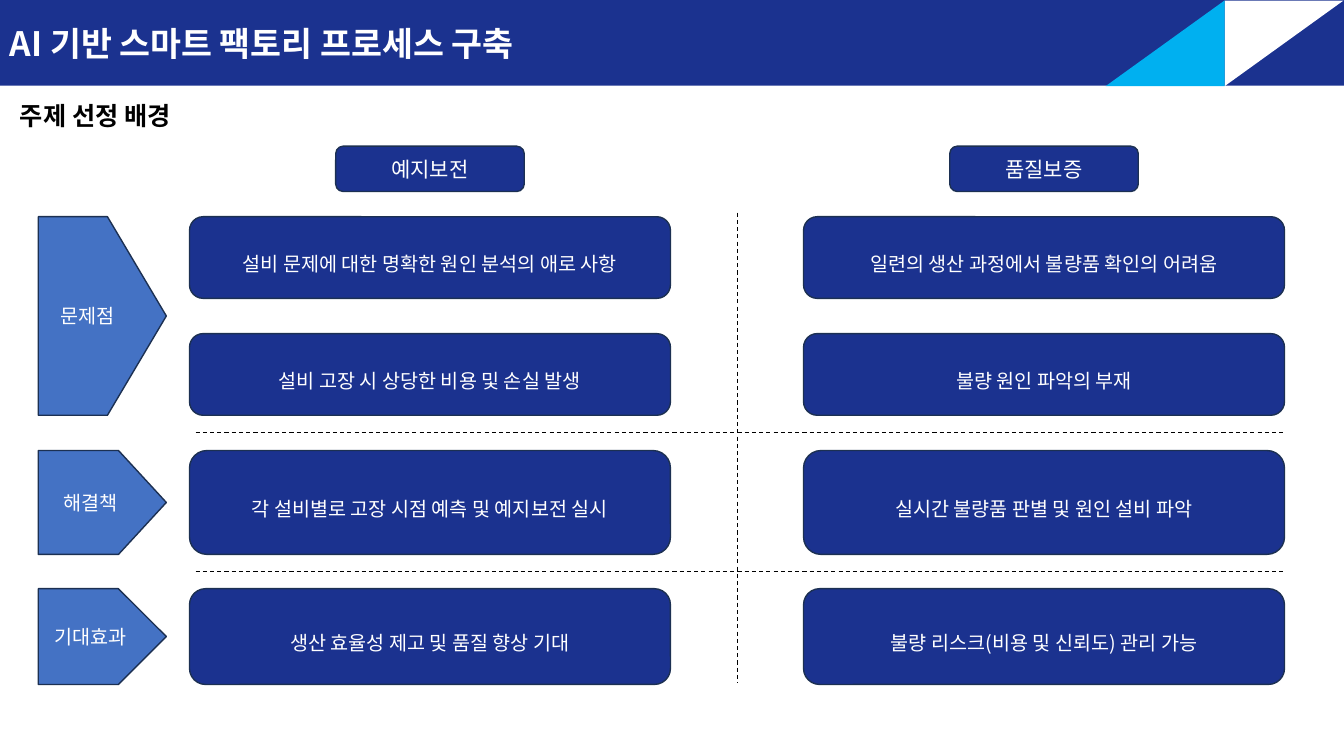
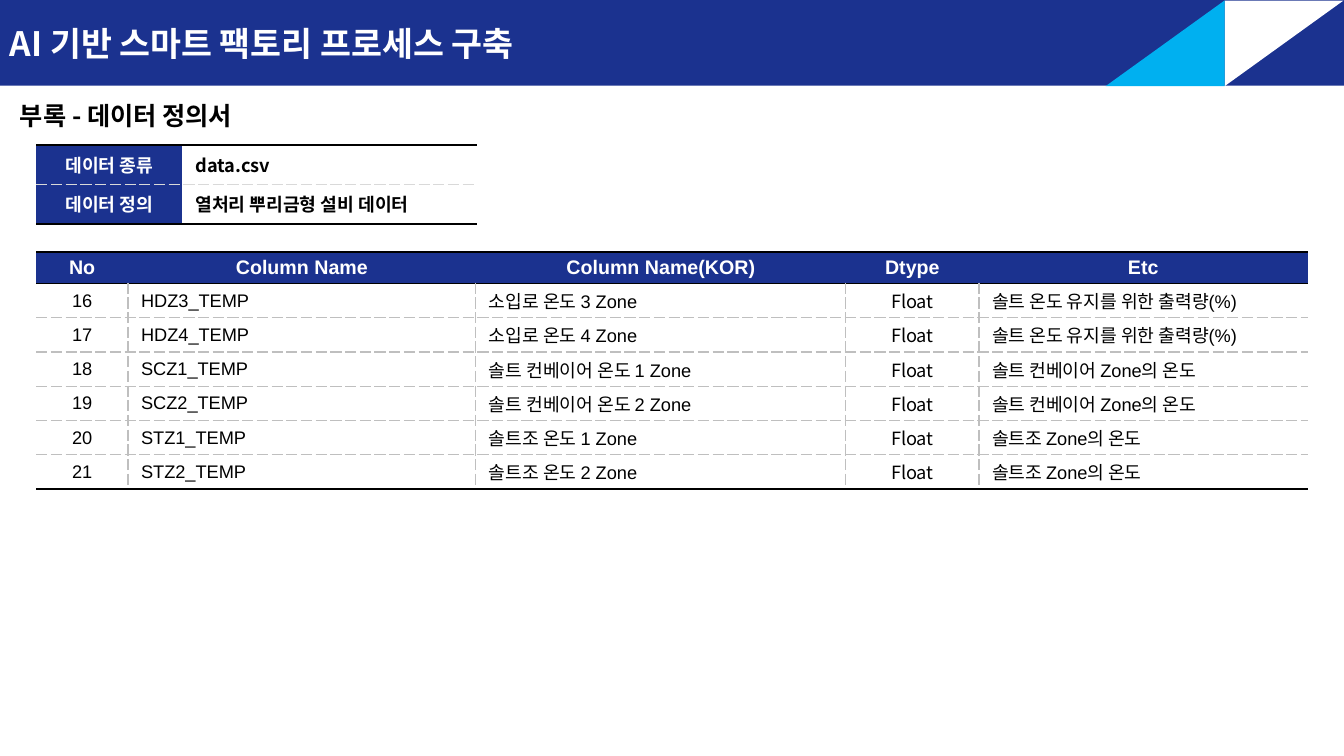
from lxml import etree
from pptx import Presentation
from pptx import util as u
from pptx.dml.color import RGBColor
from pptx.enum import dml, shapes, text
from pptx.oxml.ns import qn

NAVY = RGBColor(0x1B, 0x32, 0x8F)
OUTLINE = RGBColor(0x1C, 0x30, 0x52)
BLUE = RGBColor(0x44, 0x72, 0xC4)
CYAN = RGBColor(0x00, 0xB0, 0xF0)
WHITE = RGBColor(0xFF, 0xFF, 0xFF)
BLACK = RGBColor(0x00, 0x00, 0x00)
GREY = RGBColor(0xBF, 0xBF, 0xBF)
LIGHT_GREY = RGBColor(0xD9, 0xD9, 0xD9)
KOREAN, LATIN = "Noto Sans CJK KR", "Arial"
LEFT, CENTER = text.PP_ALIGN.LEFT, text.PP_ALIGN.CENTER
MIDDLE = text.MSO_ANCHOR.MIDDLE
KIND = shapes.MSO_SHAPE


def write(tf, words, size, color, bold=False, align=LEFT, font=KOREAN):
    """Fill a text frame with one formatted paragraph and return it."""
    tf.text = words
    tf.word_wrap = True
    p = tf.paragraphs[0]
    p.alignment = align
    r = p.runs[0]
    r.font.name, r.font.size, r.font.bold = font, u.Pt(size), bold
    r.font.color.rgb = color
    etree.SubElement(r.font._element, qn("a:ea")).set("typeface", KOREAN)
    return p


def add_shape(s, kind, x, y, w, h, fill, line=None):
    sp = s.shapes.add_shape(kind, u.Inches(x), u.Inches(y), u.Inches(w), u.Inches(h))
    sp.shadow.inherit = False
    sp.fill.solid()
    sp.fill.fore_color.rgb = fill
    if line is None:
        sp.line.fill.background()
    else:
        sp.line.color.rgb = line
        sp.line.width = u.Pt(1)
    return sp


prs = Presentation()
prs.slide_width, prs.slide_height = u.Inches(13.33), u.Inches(7.5)

# Title band, corner triangles and subtitle of every slide
BAND_H = 0.85
slides = []
for subtitle in ["주제 선정 배경", "부록 - 데이터 정의서"]:
    s = prs.slides.add_slide(prs.slide_layouts[6])
    slides.append(s)
    band = add_shape(s, KIND.RECTANGLE, 0, 0, 13.33, BAND_H, NAVY)
    write(band.text_frame, "AI 기반 스마트 팩토리 프로세스 구축", 24, WHITE, True)
    for x, rotation, color in [(12.31, 90, WHITE), (11.13, 270, CYAN)]:
        sp = add_shape(s, KIND.RIGHT_TRIANGLE, x, -0.16, BAND_H, 1.18, color)
        sp.rotation = rotation
    tb = s.shapes.add_textbox(u.Inches(0.1), u.Inches(0.95), u.Inches(3.37), u.Inches(0.4))
    write(tb.text_frame, subtitle, 18, BLACK, True)

# Slide 1: two topics across, three stages down
s = slides[0]
COL_X, COL_W, HEAD_W = (1.88, 7.97), 4.77, 1.87
topics = ["예지보전", "품질보증"]
box_rows = [
    (2.15, 0.81, ["설비 문제에 대한 명확한 원인 분석의 애로 사항",
                  "일련의 생산 과정에서 불량품 확인의 어려움"]),
    (3.31, 0.81, ["설비 고장 시 상당한 비용 및 손실 발생", "불량 원인 파악의 부재"]),
    (4.47, 1.03, ["각 설비별로 고장 시점 예측 및 예지보전 실시",
                  "실시간 불량품 판별 및 원인 설비 파악"]),
    (5.84, 0.95, ["생산 효율성 제고 및 품질 향상 기대",
                  "불량 리스크(비용 및 신뢰도) 관리 가능"]),
]
stages = [("문제점", 2.15, 1.97, 0.46), ("해결책", 4.47, 1.03, 0.46),
          ("기대효과", 5.84, 0.95, 0.5)]

for col, x in enumerate(COL_X):
    sp = add_shape(s, KIND.ROUNDED_RECTANGLE, x + (COL_W - HEAD_W) / 2, 1.45,
                   HEAD_W, 0.45, NAVY, OUTLINE)
    write(sp.text_frame, topics[col], 15, WHITE, align=CENTER)
    for y, h, messages in box_rows:
        sp = add_shape(s, KIND.ROUNDED_RECTANGLE, x, y, COL_W, h, NAVY, OUTLINE)
        p = write(sp.text_frame, messages[col], 14, WHITE, align=CENTER)
        p.line_spacing = 1.5

for name, y, h, point in stages:
    sp = add_shape(s, KIND.PENTAGON, 0.38, y, 1.27, h, BLUE, OUTLINE)
    sp.adjustments[0] = point
    write(sp.text_frame, name, 14, WHITE, align=CENTER)

for ends in [(7.31, 2.11, 7.31, 6.78), (1.94, 4.29, 12.74, 4.29), (1.94, 5.67, 12.74, 5.67)]:
    ln = s.shapes.add_connector(shapes.MSO_CONNECTOR.STRAIGHT, *[u.Inches(v) for v in ends])
    ln.line.color.rgb = BLACK
    ln.line.width = u.Pt(0.75)
    ln.line.dash_style = dml.MSO_LINE.DASH
    etree.SubElement(ln._element.spPr, qn("a:effectLst"))

# Slide 2: data summary (headed by its first column) and column list (headed by its first row)
s = slides[1]
summary = [("데이터 종류", "data.csv"), ("데이터 정의", "열처리 뿌리금형 설비 데이터")]
SALT_OUTPUT = "솔트 온도 유지를 위한 출력량(%)"
fields = [
    ("HDZ3_TEMP", "소입로 온도 3 Zone", SALT_OUTPUT),
    ("HDZ4_TEMP", "소입로 온도 4 Zone", SALT_OUTPUT),
    ("SCZ1_TEMP", "솔트 컨베이어 온도 1 Zone", "솔트 컨베이어 Zone의 온도"),
    ("SCZ2_TEMP", "솔트 컨베이어 온도 2 Zone", "솔트 컨베이어 Zone의 온도"),
    ("STZ1_TEMP", "솔트조 온도 1 Zone", "솔트조 Zone의 온도"),
    ("STZ2_TEMP", "솔트조 온도 2 Zone", "솔트조 Zone의 온도"),
]
columns = [("No", "Column Name", "Column Name(KOR)", "Dtype", "Etc")]
columns += [(str(no), name, korean, "Float", etc)
            for no, (name, korean, etc) in enumerate(fields, 16)]

for data, y, widths, heights, top_headed, grid in [
    (summary, 1.44, [1.45, 2.92], [0.39] * 2, False, LIGHT_GREY),
    (columns, 2.5, [0.91, 3.45, 3.67, 1.32, 3.26], [0.3] + [0.34] * 6, True, GREY),
]:
    last_row, last_col = len(heights) - 1, len(widths) - 1
    tbl = s.shapes.add_table(len(heights), len(widths), u.Inches(0.36), u.Inches(y),
                             u.Inches(sum(widths)), u.Inches(sum(heights))).table
    tbl.first_row = tbl.horz_banding = False
    for col, w in enumerate(widths):
        tbl.columns[col].width = u.Inches(w)
    for row, h in enumerate(heights):
        tbl.rows[row].height = u.Inches(h)
        for col, words in enumerate(data[row]):
            cell = tbl.cell(row, col)
            head = row == 0 if top_headed else col == 0
            centered = head or (top_headed and col in (0, 3))
            font = LATIN if top_headed and (head or col != 3) else KOREAN
            write(cell.text_frame, words, 14 if head and top_headed else 13,
                  WHITE if head else BLACK, head or not top_headed,
                  CENTER if centered else LEFT, font)
            cell.vertical_anchor = MIDDLE
            cell.margin_left = cell.margin_right = u.Inches(0.13)
            cell.margin_top = cell.margin_bottom = u.Inches(0.04)

            rule, dashes = (BLACK, 1.5, "solid"), (grid, 1, "sysDash")
            inner = top_headed and not head
            edges = {
                "L": dashes if inner and col > 0 else None,
                "R": dashes if inner and col < last_col else None,
                "T": rule if row == 0 or (top_headed and row == 1) else dashes,
                "B": rule if row == last_row or (top_headed and head) else dashes,
            }
            tcPr = cell._tc.get_or_add_tcPr()
            for side, edge in edges.items():
                ln = etree.SubElement(tcPr, qn("a:ln" + side))
                if edge is None:
                    etree.SubElement(ln, qn("a:noFill"))
                    continue
                color, width, dash = edge
                ln.set("w", str(u.Pt(width)))
                fill = etree.SubElement(ln, qn("a:solidFill"))
                etree.SubElement(fill, qn("a:srgbClr")).set("val", str(color))
                etree.SubElement(ln, qn("a:prstDash")).set("val", dash)
            if head:
                cell.fill.solid()
                cell.fill.fore_color.rgb = NAVY
            else:
                cell.fill.background()

prs.save("out.pptx")
